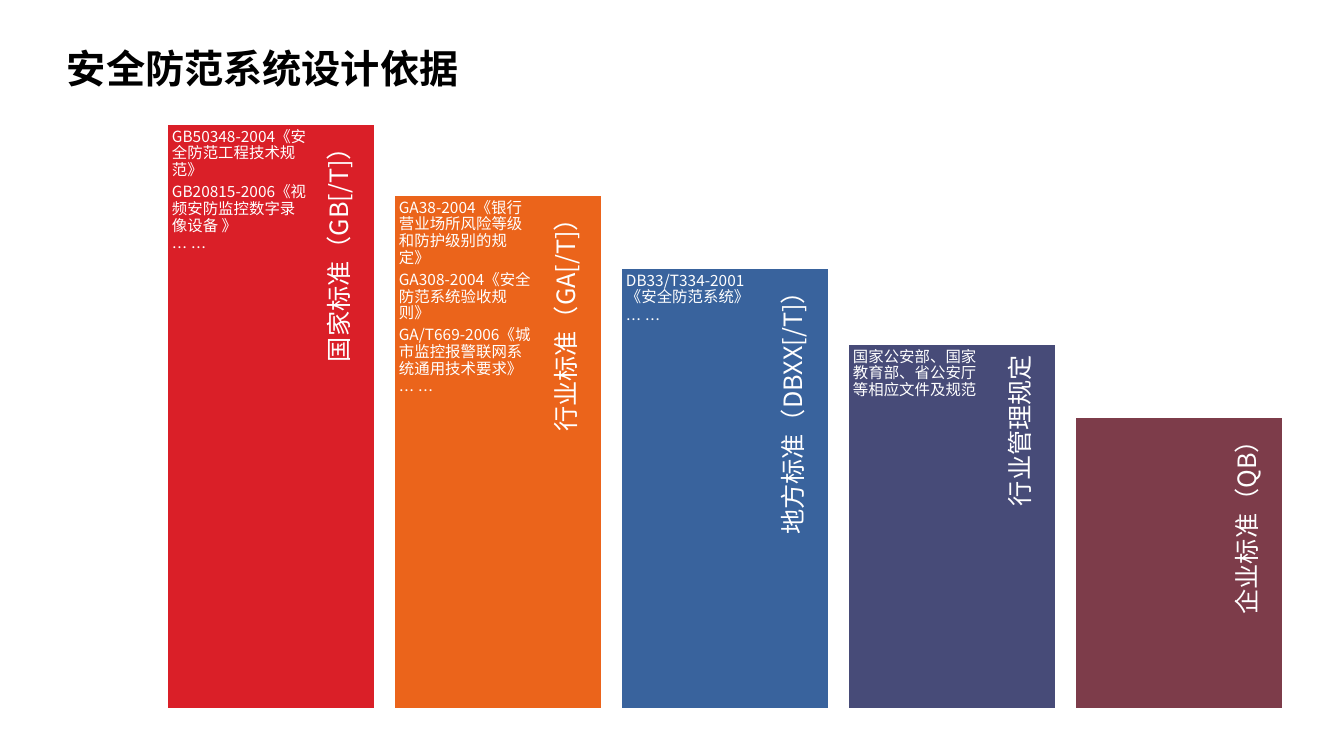
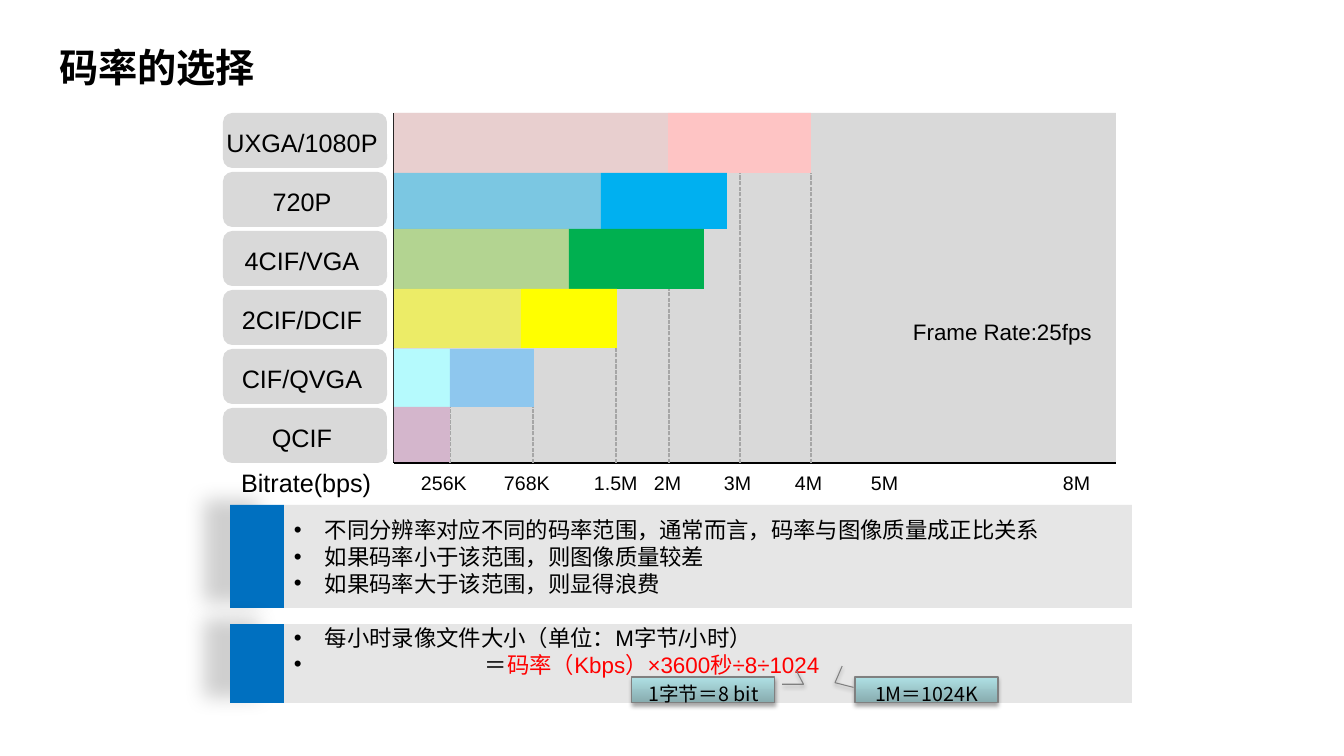
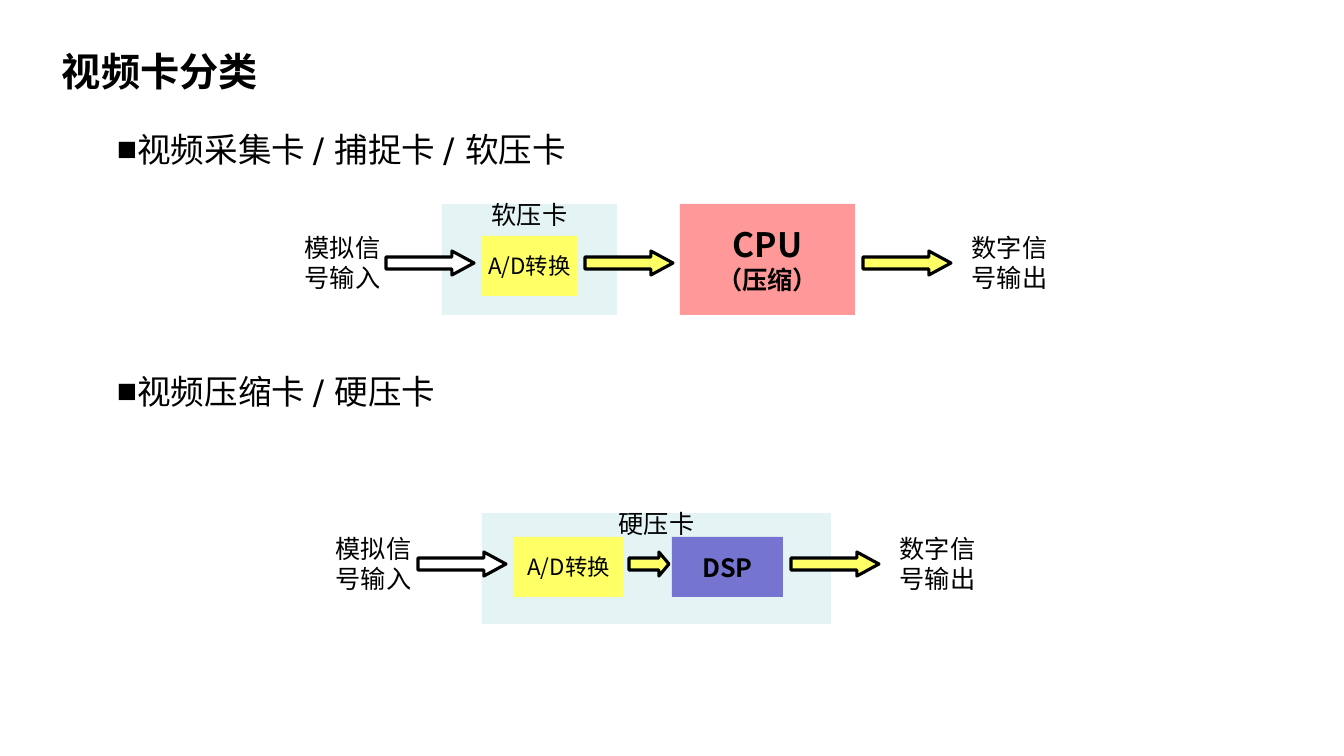
from lxml.etree import SubElement
from pptx import Presentation
from pptx.dml.color import RGBColor
from pptx.enum.dml import MSO_LINE
from pptx.enum.shapes import MSO_CONNECTOR, MSO_SHAPE
from pptx.enum.text import MSO_ANCHOR, MSO_AUTO_SIZE, PP_ALIGN
from pptx.oxml.ns import qn
from pptx.util import Emu, Pt

RECT = MSO_SHAPE.RECTANGLE
ROUND = MSO_SHAPE.ROUNDED_RECTANGLE
ARROW = MSO_SHAPE.RIGHT_ARROW
NOTE = MSO_SHAPE.LINE_CALLOUT_2
LINE = MSO_CONNECTOR.STRAIGHT
DASH = MSO_LINE.SQUARE_DOT
TOP, MID = MSO_ANCHOR.TOP, MSO_ANCHOR.MIDDLE
LEFT, CENTER, RIGHT = PP_ALIGN.LEFT, PP_ALIGN.CENTER, PP_ALIGN.RIGHT
FIXED = MSO_AUTO_SIZE.NONE

WIDE, HIGH = 1344, 756
SCALE = 12192000 / WIDE


class Theme:
    latin, asian, body = "Arial", "Noto Sans CJK SC", "DejaVu Sans"
    black, white, red = "000000", "FFFFFF", "FF0000"
    gray, pale, dash, edge = "D9D9D9", "E6E6E6", "A6A6A6", "808080"
    blue, mist, yellow, violet = "0070C0", "E4F3F4", "FFFF66", "7575D1"
    rose = ("FF0000", 40)
    blend = ("87ABAE", "AFE0E4")
    steps = ("DA1F28", "EB641B", "39639D", "474B78", "7D3C4A")
    title, head, large, text, small, tiny = 28, 24, 18, 16, 14, 11


def px(size):
    return Emu(round(size * SCALE))


def rgb(code):
    return RGBColor.from_string(code)


BASE = dict(size=Theme.large, ink=Theme.black, bold=False, font=Theme.asian,
            align=LEFT, bullet=None, hang=0, line=1.0, before=0, after=0)


def write(frame, *paras, anchor=TOP, inset=(10, 5, 10, 5), wrap=True, **fmt):
    frame.auto_size = FIXED
    frame.word_wrap = wrap
    frame.vertical_anchor = anchor
    (frame.margin_left, frame.margin_top,
     frame.margin_right, frame.margin_bottom) = map(px, inset)
    for num, para in enumerate(paras):
        runs, own = para if isinstance(para, tuple) else ([para], {})
        look = {**BASE, **fmt, **own}
        item = frame.add_paragraph() if num else frame.paragraphs[0]
        if look["bullet"]:
            props = item._p.get_or_add_pPr()
            props.set("marL", str(px(look["hang"])))
            props.set("indent", str(-px(look["hang"])))
            SubElement(props, qn("a:buFont"), typeface=Theme.latin)
            SubElement(props, qn("a:buChar"), char=look["bullet"])
        item.alignment = look["align"]
        item.line_spacing = look["line"]
        item.space_before = Pt(look["before"])
        item.space_after = Pt(look["after"])
        for part in runs:
            words, ink = part if isinstance(part, tuple) else (part, look["ink"])
            run = item.add_run()
            run.text = words
            run.font.size = Pt(look["size"])
            run.font.bold = look["bold"]
            run.font.color.rgb = rgb(ink)
            run.font.name = look["font"]
            SubElement(run._r.get_or_add_rPr(), qn("a:ea"), typeface=Theme.asian)


class Deck:
    def __init__(self):
        self.show = Presentation()
        self.show.slide_width, self.show.slide_height = px(WIDE), px(HIGH)
        self.slide = None

    def start(self, title, left, top, layout=5):
        self.slide = self.show.slides.add_slide(self.show.slide_layouts[layout])
        self.place(self.slide.shapes.title, left, top, 1005, 55)
        write(self.slide.shapes.title.text_frame, title, anchor=MID,
              size=Theme.title, font=Theme.latin, bold=True)

    def place(self, shape, left, top, width, height):
        shape.left, shape.top = px(left), px(top)
        shape.width, shape.height = px(width), px(height)

    def list(self, box, *paras, **fmt):
        holder = self.slide.placeholders[1]
        self.place(holder, *box)
        write(holder.text_frame, *paras, **fmt)

    def text(self, box, *paras, turn=0, **fmt):
        label = self.slide.shapes.add_textbox(*map(px, box))
        label.rotation = turn
        write(label.text_frame, *paras, **fmt)

    def shape(self, box, fill, *paras, kind=RECT, line=None, weight=1,
              adjust=(), shadow=None, **fmt):
        item = self.slide.shapes.add_shape(kind, *map(px, box))
        for num, value in enumerate(adjust):
            item.adjustments[num] = value
        color, alpha = fill if isinstance(fill, tuple) else (fill, None)
        if fill == Theme.blend:
            item.fill.gradient()
            item.fill.gradient_angle = 90
            for stop, tint in zip(item.fill.gradient_stops, fill):
                stop.color.rgb = rgb(tint)
        else:
            item.fill.solid()
            item.fill.fore_color.rgb = rgb(color)
            if alpha:
                tone = item.element.spPr.find(qn("a:solidFill"))[0]
                SubElement(tone, qn("a:alpha"), val=str(alpha * 1000))
        if line:
            item.line.color.rgb = rgb(line)
            item.line.width = Pt(weight)
        else:
            item.line.fill.background()
        item.shadow.inherit = False
        if shadow:
            self.shade(item, *shadow)
        if paras:
            write(item.text_frame, *paras, **fmt)

    def shade(self, item, alpha, blur, dist, angle):
        glow = SubElement(item.element.spPr.find(qn("a:effectLst")),
                          qn("a:outerShdw"), blurRad=str(Pt(blur)),
                          dist=str(Pt(dist)), dir=str(angle * 60000),
                          algn="ctr", rotWithShape="0")
        tone = SubElement(glow, qn("a:srgbClr"), val=Theme.black)
        SubElement(tone, qn("a:alpha"), val=str(alpha * 1000))

    def rule(self, ends, color, weight, dash=None):
        link = self.slide.shapes.add_connector(LINE, *map(px, ends))
        link.line.color.rgb = rgb(color)
        link.line.width = Pt(weight)
        if dash:
            link.line.dash_style = dash
        SubElement(link.element.spPr, qn("a:effectLst"))

    def arrow(self, left, top, fill, width=88, head=0.92):
        self.shape((left, top, width, 24), fill, kind=ARROW, line=Theme.black,
                   weight=2.25, adjust=(0.5, head))


def basis(deck):
    deck.start("安全防范系统设计依据", 57, 40)
    steps = [
        (124, "国家标准（GB[/T]）", ["GB50348-2004《安全防范工程技术规范》",
                               "GB20815-2006《视频安防监控数字录像设备 》", "… …"]),
        (195, "行业标准（GA[/T]）", ["GA38-2004《银行营业场所风险等级和防护级别的规定》",
                               "GA308-2004《安全防范系统验收规则》",
                               "GA/T669-2006《城市监控报警联网系统通用技术要求》", "… …"]),
        (268, "地方标准（DBXX[/T]）", ["DB33/T334-2001《安全防范系统》", "… …"]),
        (344, "行业管理规定", ["国家公安部、国家教育部、省公安厅等相应文件及规范"]),
        (417, "企业标准（QB）", []),
    ]
    for num, (top, name, rules) in enumerate(steps):
        left, tall = 167 + 227 * num, 709 - top
        span = round(tall * 0.9)
        deck.shape((left, top, 208, tall), Theme.steps[num], line=Theme.white, weight=2)
        deck.text((left + 175 - span / 2, top + span / 2 - 27, span, 54), name,
                  turn=270, anchor=MID, inset=(7, 0, 11, 3), align=RIGHT,
                  line=0.9, ink=Theme.white)
        if rules:
            deck.text((left, top, 147, tall), *rules, inset=(5, 5, 5, 5),
                      size=Theme.tiny, ink=Theme.white, line=0.9, after=4)


def rates(deck):
    deck.start("码率的选择", 49, 39)
    dots = dict(font=Theme.latin, size=Theme.text, bullet="•", hang=31)
    panels = [
        (505, 103, MID, 5, ["不同分辨率对应不同的码率范围，通常而言，码率与图像质量成正比关系",
                            "如果码率小于该范围，则图像质量较差",
                            "如果码率大于该范围，则显得浪费"]),
        (624, 79, TOP, 0, ["每小时录像文件大小（单位：M字节/小时）",
                           (["＝", ("码率（Kbps）×3600秒÷8÷1024", Theme.red)],
                            dict(hang=191))]),
    ]
    for top, tall, anchor, pad, lines in panels:
        deck.shape((284, top, 848, tall), Theme.pale, *lines, anchor=anchor,
                   inset=(10, pad, 10, pad), **dots)
        deck.shape((230, top, 54, tall), Theme.blue, shadow=(18, 14.5, 19, 192))

    notes = [
        (632, "1字节＝8 bit", (0.28, 1.05, 0.28, 1.2, -0.24, 1.15)),
        (855, "1M＝1024K", (0.4, -0.01, 0.22, -0.14, -0.42, -0.09)),
    ]
    for left, words, adjust in notes:
        deck.shape((left, 677, 143, 26), Theme.blend, words, kind=NOTE,
                   line=Theme.edge, weight=0.75, adjust=adjust,
                   shadow=(35, 3.1, 1.8, 90), size=Theme.small, align=CENTER)

    base, side = 463, 394
    deck.rule((side, base, 1116, base), Theme.black, 2)
    deck.rule((side, base, side, 113), Theme.black, 2)
    deck.shape((side, 113, 722, 349), Theme.gray)
    for left, top in ((450, 407), (533, 407), (616, 348), (669, 289),
                      (740, 168), (811, 173)):
        deck.rule((left, base, left, top), Theme.dash, 1, DASH)

    rows = [
        ("UXGA/1080P", 113, 60, [(668, ("FEC4C4", 43)), (811, "FEC4C4")]),
        ("720P", 173, 56, [(601, ("00B0F0", 43)), (727, "00B0F0")]),
        ("4CIF/VGA", 229, 60, [(569, ("92D050", 52)), (704, "00B050")]),
        ("2CIF/DCIF", 289, 59, [(521, ("FFFF00", 52)), (617, "FFFF00")]),
        ("CIF/QVGA", 349, 58, [(450, "B5FAFD"), (534, "8EC7EE")]),
        ("QCIF", 407, 55, [(450, "D4B6CC")]),
    ]
    for num, (name, top, tall, bars) in enumerate(rows):
        deck.shape((223, 113 + 59 * num, 164, 55), Theme.gray, name, kind=ROUND,
                   anchor=MID, inset=(0, 4, 6, 0), wrap=False, align=CENTER,
                   font=Theme.latin)
        left = side
        for right, fill in bars:
            deck.shape((left, top, right - left, tall), fill)
            left = right

    deck.text((231, 462, 159, 40), "Bitrate(bps)", font=Theme.latin)
    for left, mark in ((411, "256K"), (494, "768K"), (584, "1.5M"), (644, "2M"),
                       (714, "3M"), (785, "4M"), (861, "5M"), (1053, "8M")):
        deck.text((left, 466, 80, 34), mark, font=Theme.latin, size=Theme.small)
    deck.text((903, 313, 214, 38), "Frame Rate:25fps", font=Theme.latin,
              size=Theme.text)


def cards(deck):
    deck.start("视频卡分类", 52, 43, layout=1)
    deck.list((107, 124, 1237, 588), "视频采集卡 / 捕捉卡 / 软压卡",
              (["视频压缩卡 / 硬压卡"], dict(before=144)),
              size=Theme.head, font=Theme.body, bullet="■", hang=19)
    mid = dict(anchor=MID, wrap=False, align=CENTER)
    flows = [
        (204, "软压卡", 442, 175, (482, 236, 95), 283, 950, (386, 585, 863)),
        (513, "硬压卡", 482, 349, (513, 537, 111), 314, 878, (418, 791)),
    ]
    for top, name, left, wide, (start, high, size), source, sink, arrows in flows:
        deck.shape((left, top, wide, 111), Theme.mist)
        deck.text((left, top - 5, wide, 30), name, inset=(0, 0, 0, 0), align=CENTER)
        deck.shape((start, high, size, 60), Theme.yellow, "A/D转换",
                   size=Theme.text, **mid)
        for num, spot in enumerate(arrows):
            deck.arrow(spot, top + (47 if top == 204 else 39),
                       Theme.yellow if num else Theme.white)
        for spot, words in ((source, "模拟信号输入"), (sink, "数字信号输出")):
            deck.text((spot, top + (23 if top == 204 else 15), 119, 72), words,
                      align=CENTER)
    deck.shape((680, 204, 175, 111), Theme.rose,
               (["CPU"], dict(size=Theme.head)), "（压缩）", bold=True, **mid)
    deck.arrow(629, 552, Theme.yellow, width=40, head=0.42)
    deck.shape((672, 537, 111, 60), Theme.violet, "DSP", bold=True, **mid)


def main():
    deck = Deck()
    basis(deck)
    rates(deck)
    cards(deck)
    deck.show.save("out.pptx")


if __name__ == "__main__":
    main()
